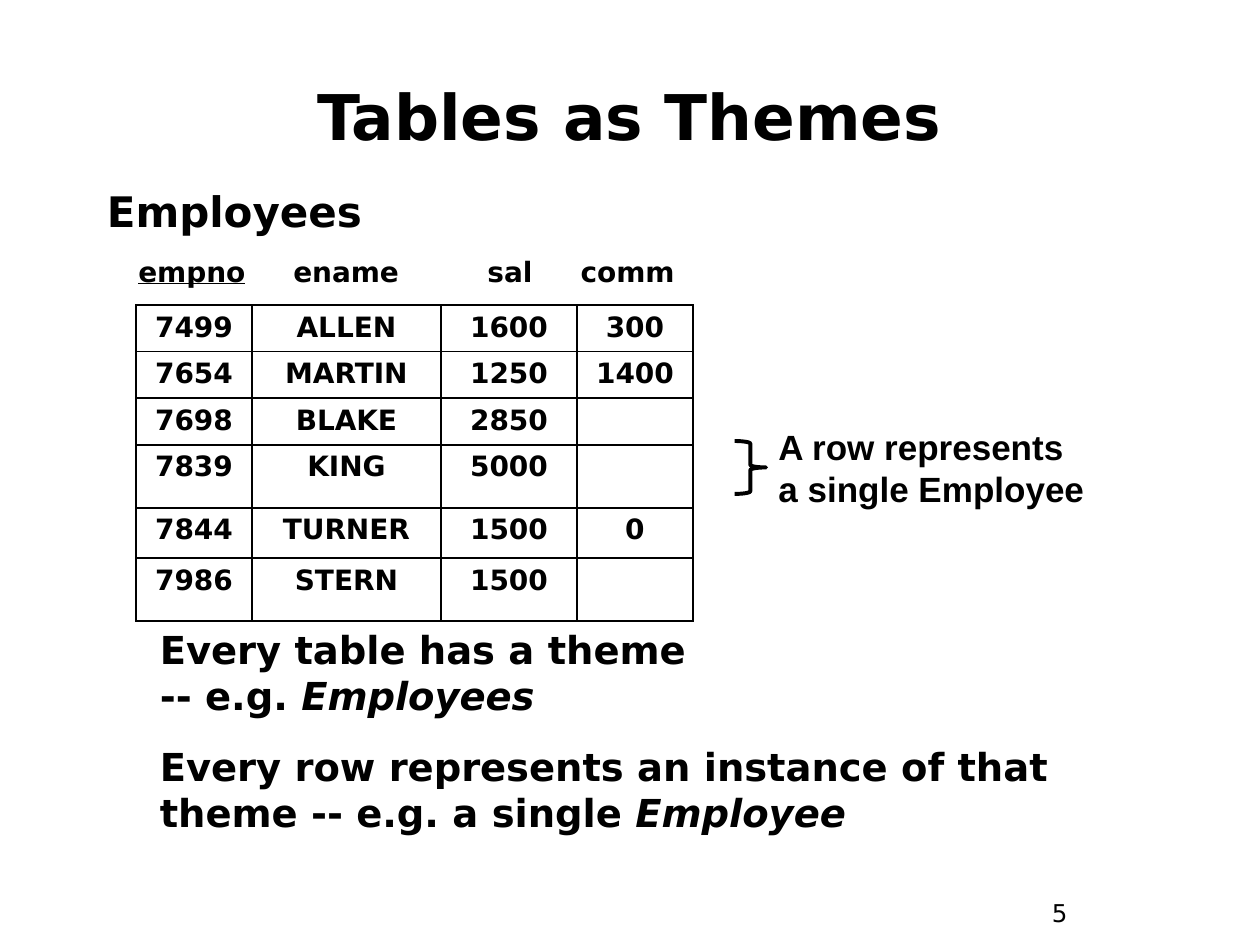
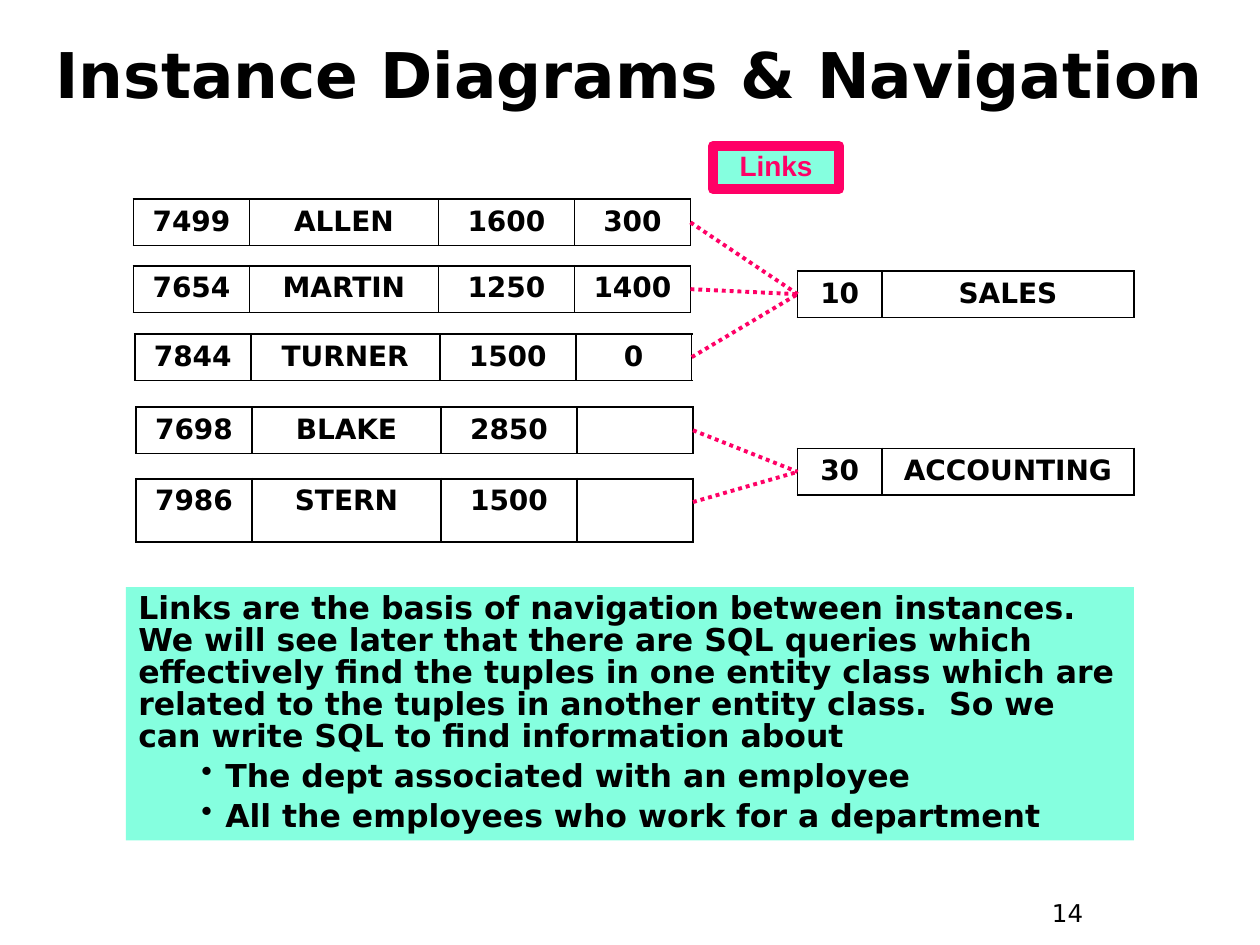
from dataclasses import dataclass

from lxml import etree
from pptx import Presentation
from pptx.dml.color import RGBColor
from pptx.enum.dml import MSO_LINE
from pptx.enum.shapes import MSO_CONNECTOR, MSO_SHAPE
from pptx.enum.text import MSO_ANCHOR, PP_ALIGN
from pptx.oxml.ns import qn
from pptx.util import Inches, Pt

LEFT, CENTER = PP_ALIGN.LEFT, PP_ALIGN.CENTER
TOP, MIDDLE = MSO_ANCHOR.TOP, MSO_ANCHOR.MIDDLE
RECT, BRACE = MSO_SHAPE.RECTANGLE, MSO_SHAPE.RIGHT_BRACE
STRAIGHT, DOTS = MSO_CONNECTOR.STRAIGHT, MSO_LINE.ROUND_DOT


@dataclass(frozen=True)
class Theme:
    font: str = "DejaVu Sans"
    label: str = "Arial"
    ink: str = "000000"
    mint: str = "85FFDF"
    pink: str = "FF0066"
    title: int = 36
    head: int = 24
    point: int = 22
    note: int = 20
    body: int = 18
    cell: int = 16
    page: int = 14
    border: float = 1.08
    stroke: float = 2.25
    frame: int = 6


THEME = Theme()

# Employee and department records
EMPS = {
    "7499": ("ALLEN", "1600", "300"),
    "7654": ("MARTIN", "1250", "1400"),
    "7698": ("BLAKE", "2850", ""),
    "7839": ("KING", "5000", ""),
    "7844": ("TURNER", "1500", "0"),
    "7986": ("STERN", "1500", ""),
}
DEPTS = {"10": "SALES", "30": "ACCOUNTING"}
EMP_COLS = (0.92, 1.5, 1.08, 0.92)
DEPT_COLS = (0.67, 2)
ROW = 0.37


def color(code):
    return RGBColor.from_string(code)


def add_bullet(para):
    props = para._p.get_or_add_pPr()
    props.set("lvl", "1")
    props.set("marL", str(Inches(0.69)))
    props.set("indent", str(Inches(-0.19)))
    etree.SubElement(props, qn("a:buChar"), char="•")


def add_tabs(para, stops):
    tabs = etree.SubElement(para._p.get_or_add_pPr(), qn("a:tabLst"))
    for stop in stops:
        etree.SubElement(tabs, qn("a:tab"), pos=str(Inches(stop)), algn="l")


def put(frame, paras, size, font=THEME.font, ink=THEME.ink, bold=True,
        align=LEFT, gap=0, spacing=None, tabs=(), bullets=False):
    """Fill a text frame; each paragraph is a list of (text, style) runs.

    With bullets, every paragraph after the first gets one.
    """
    for i, runs in enumerate(paras):
        para = frame.paragraphs[0] if i == 0 else frame.add_paragraph()
        para.alignment = align
        if spacing:
            para.line_spacing = spacing
        if i:
            para.space_before = Pt(gap)
        if bullets and i:
            add_bullet(para)
        if tabs:
            add_tabs(para, tabs)
        for text, style in runs:
            if text == "\n":
                para.add_line_break()
                continue
            run = para.add_run()
            run.text = text
            face = run.font
            face.name, face.size, face.bold = font, Pt(size), bold
            face.color.rgb = color(ink)
            if style == "italic":
                face.italic = True
            elif style == "under":
                face.underline = True


def plain(*texts):
    return [[(text, "")] for text in texts]


def add_text(slide, box, paras, size, anchor=TOP, **form):
    frame = slide.shapes.add_textbox(*map(Inches, box)).text_frame
    frame.word_wrap = True
    frame.vertical_anchor = anchor
    put(frame, paras, size, **form)


def add_box(slide, kind, box, fill=None, line=None, width=0):
    shape = slide.shapes.add_shape(kind, *map(Inches, box))
    shape.shadow.inherit = False
    if fill:
        shape.fill.solid()
        shape.fill.fore_color.rgb = color(fill)
    else:
        shape.fill.background()
    if line:
        shape.line.color.rgb = color(line)
        shape.line.width = Pt(width)
    else:
        shape.line.fill.background()
    frame = shape.text_frame
    frame.word_wrap = True
    frame.vertical_anchor = TOP
    return frame


def add_border(cell):
    props = cell._tc.get_or_add_tcPr()
    for side in ("lnL", "lnR", "lnT", "lnB"):
        line = etree.SubElement(props, qn("a:" + side),
                                w=str(Pt(THEME.border)))
        fill = etree.SubElement(line, qn("a:solidFill"))
        etree.SubElement(fill, qn("a:srgbClr"), val=THEME.ink)


def add_grid(slide, left, top, records, cols, rows=(ROW,)):
    shape = slide.shapes.add_table(
        len(rows), len(cols), Inches(left), Inches(top),
        Inches(sum(cols)), Inches(sum(rows)))
    table = shape.table
    table.first_row = table.horz_banding = False
    for col, width in zip(table.columns, cols):
        col.width = Inches(width)
    for row, height, record in zip(table.rows, rows, records):
        row.height = Inches(height)
        for cell, value in zip(row.cells, record):
            add_border(cell)
            cell.fill.background()
            if value:
                put(cell.text_frame, plain(value), THEME.cell, align=CENTER)
            else:
                # An empty cell keeps the row at the cell type size
                etree.SubElement(cell.text_frame.paragraphs[0]._p,
                                 qn("a:endParaRPr"),
                                 sz=str(THEME.cell * 100))


def add_link(slide, start, end):
    link = slide.shapes.add_connector(STRAIGHT, *map(Inches, start + end))
    link.line.color.rgb = color(THEME.pink)
    link.line.width = Pt(THEME.stroke)
    link.line.dash_style = DOTS
    etree.SubElement(link._element.spPr, qn("a:effectLst"))


def add_slide(deck, title, top, page):
    slide = deck.slides.add_slide(deck.slide_layouts[6])
    add_text(slide, (8.25, 7.08, 0.75, 0.37), plain(page), THEME.page,
             bold=False)
    add_text(slide, (0.33, top, 9.33, 0.83), plain(title), THEME.title,
             anchor=MIDDLE, align=CENTER)
    return slide


def theme_slide(deck):
    slide = add_slide(deck, "Tables as Themes", 0.5, "5")

    # Employee table with its name and column heads
    add_text(slide, (0.75, 1.42, 2.33, 0.5), plain("Employees"), THEME.head)
    heads = [[("empno", "under"), ("\tename\tsal\tcomm", "")]]
    add_text(slide, (1, 1.97, 5.33, 0.37), heads, THEME.cell,
             tabs=(1.23, 2.77, 3.51))
    records = [(number, *rest) for number, rest in EMPS.items()]
    add_grid(slide, 1.08, 2.42, records, EMP_COLS,
             (ROW, ROW, ROW, 0.5, 0.4, 0.5))

    # Note on one row
    add_box(slide, BRACE, (5.83, 3.5, 0.25, 0.42), line=THEME.ink,
            width=THEME.stroke)
    add_text(slide, (6.08, 3.33, 2.67, 0.77),
             plain("A row represents a single Employee"), THEME.note,
             font=THEME.label)

    # Main points
    points = [
        [("Every table has a theme", ""), ("\n", ""), ("-- e.g. ", ""),
         ("Employees", "italic")],
        [("Every row represents an instance of that theme -- e.g. a single ",
          ""), ("Employee", "italic")],
    ]
    add_text(slide, (1.17, 4.92, 7.25, 1.76), points, THEME.point, gap=13.8)


def link_slide(deck):
    slide = add_slide(deck, "Instance Diagrams & Navigation", 0.17, "14")

    # Explanation
    frame = add_box(slide, RECT, (1, 4.66, 8, 2.01), fill=THEME.mint)
    put(frame, plain(
        "Links are the basis of navigation between instances.  We will see "
        "later that there are SQL queries which effectively find the tuples "
        "in one entity class which are related to the tuples in another "
        "entity class.  So we can write SQL to find information about",
        "The dept associated with an employee",
        "All the employees who work for a department"),
        THEME.body, gap=4.5, spacing=0.85, bullets=True)

    # Departments, each with the left middle point where links end
    ends = {}
    for dept, top in (("10", 2.15), ("30", 3.56)):
        add_grid(slide, 6.33, top, [(dept, DEPTS[dept])], DEPT_COLS)
        ends[dept] = (6.33, top + ROW / 2)

    # Employees, each linked to a department
    places = (
        ("7499", 1.06, 1.58, "10"),
        ("7654", 1.06, 2.11, "10"),
        ("7844", 1.07, 2.65, "10"),
        ("7698", 1.08, 3.23, "30"),
        ("7986", 1.08, 3.8, "30"),
    )
    for number, left, top, dept in places:
        height = 0.5 if number == "7986" else ROW
        add_grid(slide, left, top, [(number, *EMPS[number])], EMP_COLS,
                 (height,))
        add_link(slide, (left + sum(EMP_COLS), top + ROW / 2), ends[dept])

    # Links badge
    frame = add_box(slide, RECT, (5.66, 1.16, 1, 0.34), fill=THEME.mint,
                    line=THEME.pink, width=THEME.frame)
    put(frame, plain("Links"), THEME.cell, font=THEME.label, ink=THEME.pink,
        align=CENTER, spacing=0.9)


def main():
    deck = Presentation()
    deck.slide_width, deck.slide_height = Inches(10), Inches(7.5)
    theme_slide(deck)
    link_slide(deck)
    deck.save("out.pptx")


if __name__ == "__main__":
    main()
